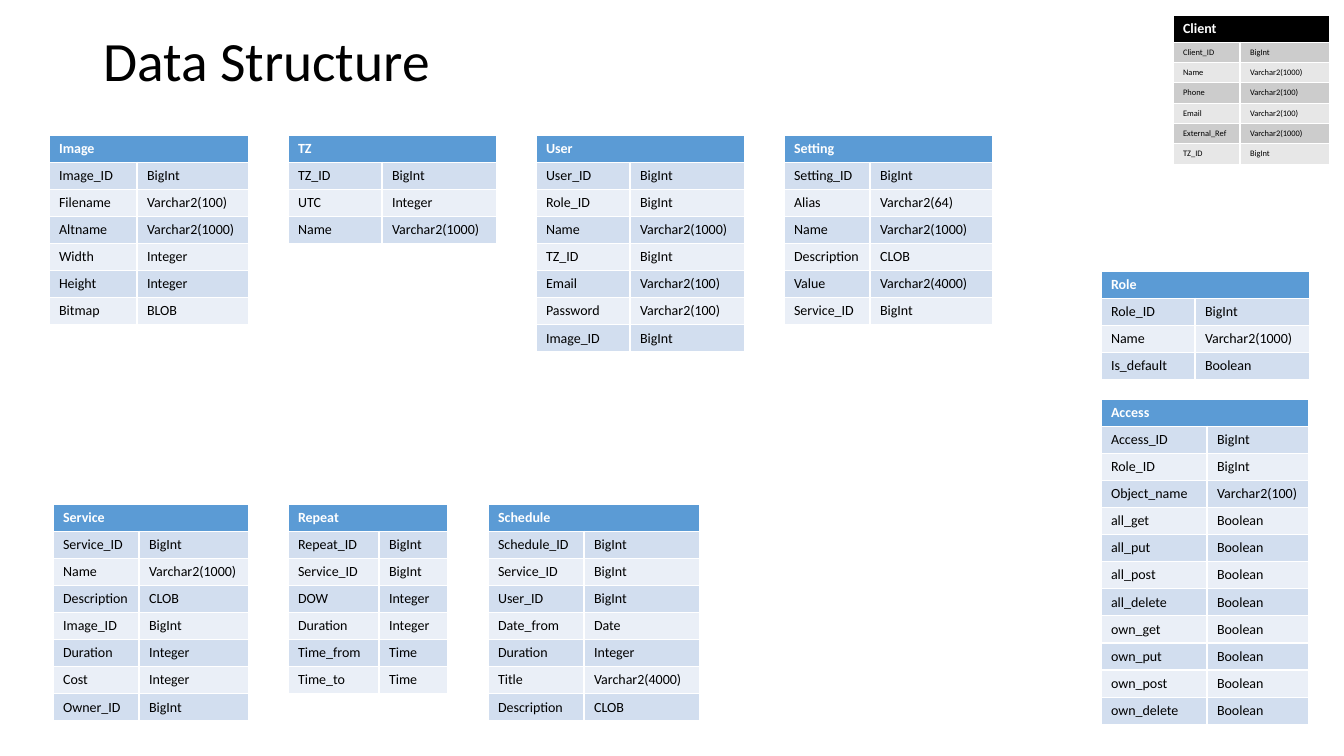
import dataclasses

import pptx
import pptx.dml.color
import pptx.enum.text
import pptx.slide
import pptx.text.text
import pptx.util

RGBColor = pptx.dml.color.RGBColor
BLACK = RGBColor(0x00, 0x00, 0x00)
WHITE = RGBColor(0xFF, 0xFF, 0xFF)
BLUE = RGBColor(0x5B, 0x9B, 0xD5)
BLUE_BAND = RGBColor(0xD2, 0xDE, 0xEF)
BLUE_PALE = RGBColor(0xEA, 0xEF, 0xF7)
GREY_BAND = RGBColor(0xCC, 0xCC, 0xCC)
GREY_PALE = RGBColor(0xE7, 0xE7, 0xE7)

EMU_PER_PIXEL = 914400 / 100.8
FONT = "Calibri"
HEADER_SIZE = 10
HEADER_HEIGHT = 27
TOP_ROW = 135
BOTTOM_ROW = 504


@dataclasses.dataclass(frozen=True)
class Theme:
    header: RGBColor
    bands: tuple[RGBColor, RGBColor]
    size: float
    row_height: int


BLUE_THEME = Theme(BLUE, (BLUE_BAND, BLUE_PALE), 10, 27)
GREY_THEME = Theme(BLACK, (GREY_BAND, GREY_PALE), 6, 20)


@dataclasses.dataclass(frozen=True)
class Entity:
    name: str
    left: int
    top: int
    widths: tuple[int, int]
    fields: dict[str, str]
    theme: Theme = BLUE_THEME


ENTITIES = (
    Entity("Service", 53, BOTTOM_ROW, (86, 110), {
        "Service_ID": "BigInt", "Name": "Varchar2(1000)", "Description": "CLOB",
        "Image_ID": "BigInt", "Duration": "Integer", "Cost": "Integer",
        "Owner_ID": "BigInt"}),
    Entity("Setting", 784, TOP_ROW, (86, 123), {
        "Setting_ID": "BigInt", "Alias": "Varchar2(64)", "Name": "Varchar2(1000)",
        "Description": "CLOB", "Value": "Varchar2(4000)", "Service_ID": "BigInt"}),
    Entity("Repeat", 288, BOTTOM_ROW, (91, 69), {
        "Repeat_ID": "BigInt", "Service_ID": "BigInt", "DOW": "Integer",
        "Duration": "Integer", "Time_from": "Time", "Time_to": "Time"}),
    Entity("Schedule", 488, BOTTOM_ROW, (96, 116), {
        "Schedule_ID": "BigInt", "Service_ID": "BigInt", "User_ID": "BigInt",
        "Date_from": "Date", "Duration": "Integer", "Title": "Varchar2(4000)",
        "Description": "CLOB"}),
    Entity("Image", 49, TOP_ROW, (88, 112), {
        "Image_ID": "BigInt", "Filename": "Varchar2(100)",
        "Altname": "Varchar2(1000)", "Width": "Integer", "Height": "Integer",
        "Bitmap": "BLOB"}),
    Entity("Client", 1173, 15, (67, 90), {
        "Client_ID": "BigInt", "Name": "Varchar2(1000)", "Phone": "Varchar2(100)",
        "Email": "Varchar2(100)", "External_Ref": "Varchar2(1000)",
        "TZ_ID": "BigInt"}, GREY_THEME),
    Entity("User", 536, TOP_ROW, (94, 115), {
        "User_ID": "BigInt", "Role_ID": "BigInt", "Name": "Varchar2(1000)",
        "TZ_ID": "BigInt", "Email": "Varchar2(100)", "Password": "Varchar2(100)",
        "Image_ID": "BigInt"}),
    Entity("TZ", 288, TOP_ROW, (94, 115), {
        "TZ_ID": "BigInt", "UTC": "Integer", "Name": "Varchar2(1000)"}),
    Entity("Access", 1101, 399, (106, 102), {
        "Access_ID": "BigInt", "Role_ID": "BigInt", "Object_name": "Varchar2(100)",
        **{f"{scope}_{action}": "Boolean" for scope in ("all", "own")
           for action in ("get", "put", "post", "delete")}}),
    Entity("Role", 1101, 271, (94, 115), {
        "Role_ID": "BigInt", "Name": "Varchar2(1000)", "Is_default": "Boolean"}),
)


def px(pixels: int) -> pptx.util.Emu:
    return pptx.util.Emu(round(pixels * EMU_PER_PIXEL))


def style_text(frame: pptx.text.text.TextFrame, size: float, color: RGBColor,
               bold: bool = False) -> None:
    font = frame.paragraphs[0].font
    font.name = FONT
    font.size = pptx.util.Pt(size)
    font.bold = bold
    font.color.rgb = color


def draw_title(slide: pptx.slide.Slide, heading: str) -> None:
    title = slide.shapes.title
    title.left, title.top, title.width, title.height = map(px, (93, 40, 1159, 48))
    frame = title.text_frame
    frame.text = heading
    frame.auto_size = pptx.enum.text.MSO_AUTO_SIZE.NONE
    frame.vertical_anchor = pptx.enum.text.MSO_ANCHOR.MIDDLE
    frame.paragraphs[0].alignment = pptx.enum.text.PP_ALIGN.LEFT
    frame.paragraphs[0].line_spacing = 0.9
    style_text(frame, 39.6, BLACK)


def draw_entity(slide: pptx.slide.Slide, entity: Entity) -> None:
    theme = entity.theme
    row_total = len(entity.fields) + 1
    height = HEADER_HEIGHT + len(entity.fields) * theme.row_height
    table = slide.shapes.add_table(
        row_total, 2, px(entity.left), px(entity.top),
        px(sum(entity.widths)), px(height)).table
    for column, width in zip(table.columns, entity.widths):
        column.width = px(width)
    for row in table.rows:
        row.height = px(theme.row_height)
    table.rows[0].height = px(HEADER_HEIGHT)

    header = table.cell(0, 0)
    header.merge(table.cell(0, 1))
    header.text = entity.name
    header.fill.solid()
    header.fill.fore_color.rgb = theme.header
    style_text(header.text_frame, HEADER_SIZE, WHITE, bold=True)

    for index, field in enumerate(entity.fields.items()):
        for column_index, label in enumerate(field):
            cell = table.cell(index + 1, column_index)
            cell.text = label
            cell.fill.solid()
            cell.fill.fore_color.rgb = theme.bands[index % 2]
            style_text(cell.text_frame, theme.size, BLACK)


presentation = pptx.Presentation()
presentation.slide_width = px(1344)
presentation.slide_height = px(756)
data_structure = presentation.slides.add_slide(presentation.slide_layouts[5])
draw_title(data_structure, "Data Structure")
for entity in ENTITIES:
    draw_entity(data_structure, entity)
presentation.save("out.pptx")
